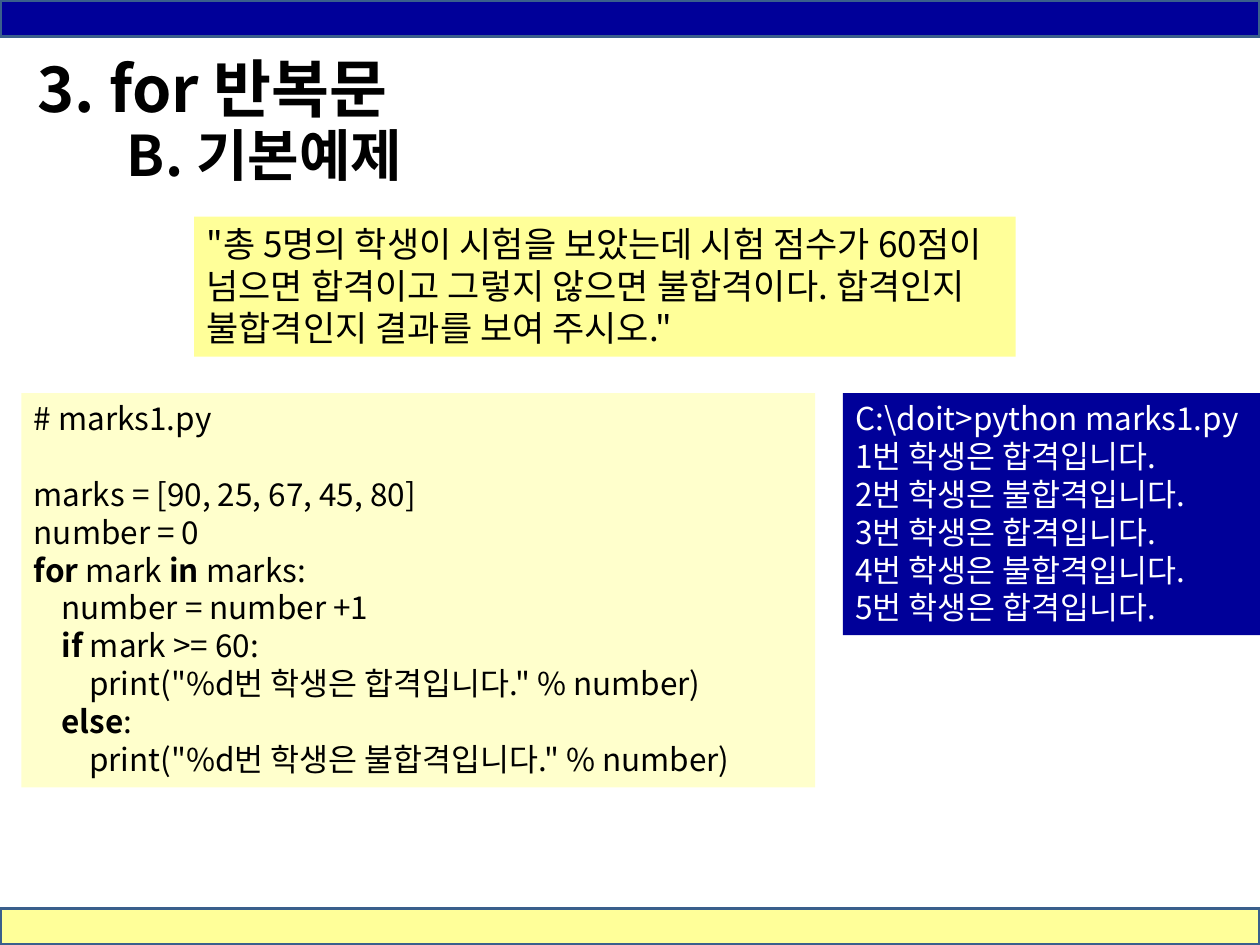
from pptx import Presentation
from pptx.dml.color import RGBColor as RGB
from pptx.enum.shapes import MSO_SHAPE as Shape
from pptx.enum.text import MSO_ANCHOR as Anchor, MSO_AUTO_SIZE as Fit, PP_ALIGN as Align
from pptx.oxml.ns import qn
from pptx.util import Inches, Pt
from lxml import etree

COLORS = {"navy": "000099", "lemon": "FFFF99", "cream": "FFFFCC",
          "edge": "3A5F8C", "black": "000000", "white": "FFFFFF"}
FONT = "Noto Sans CJK KR"
STEP = 0.22  # width of one code indent
LINE = 21.7  # height of one code line, in points

TASK = ('"총 5명의 학생이 시험을 보았는데 시험 점수가 60점이 넘으면 합격이고 '
        '그렇지 않으면 불합격이다. 합격인지 불합격인지 결과를 보여 주시오."')

# Indent level and text; ** switches bold on and off
CODE = [
    (0, "# marks1.py"),
    (0, "marks = [90, 25, 67, 45, 80]"),
    (0, "number = 0"),
    (0, "**for **mark **in** marks:"),
    (1, "number = number +1"),
    (1, "**if **mark >= 60:"),
    (2, 'print("%d번 학생은 합격입니다." % number)'),
    (1, "**else**:"),
    (2, 'print("%d번 학생은 불합격입니다." % number)'),
]
RESULT = ["합격", "불합격", "합격", "불합격", "합격"]
OUTPUT = [(0, r"C:\doit>python marks1.py")] + [
    (0, f"{n}번 학생은 {res}입니다.") for n, res in enumerate(RESULT, 1)]


class Deck:
    def __init__(self):
        self.prs = Presentation()
        self.prs.slide_width, self.prs.slide_height = Inches(10), Inches(7.5)
        self.slide = self.prs.slides.add_slide(self.prs.slide_layouts[5])

    def text(self, shape, lines, size, color="black", bold=False, **frame):
        body = shape.text_frame
        style = {"word_wrap": True, "auto_size": Fit.SHAPE_TO_FIT_TEXT,
                 "vertical_anchor": Anchor.TOP} | frame
        for name, value in style.items():
            setattr(body, name, value)
        for i, (level, line) in enumerate(lines):
            para = body.add_paragraph() if i else body.paragraphs[0]
            para.alignment = Align.LEFT
            if level:
                para._p.get_or_add_pPr().set("marL", str(Inches(level * STEP)))
            for j, part in enumerate(line.split("**")):
                if part:
                    run = para.add_run()
                    run.text = part
                    self.font(run, size, color, bold or j % 2 == 1)

    def font(self, run, size, color, bold):
        for name, value in {"name": FONT, "size": Pt(size), "bold": bold}.items():
            setattr(run.font, name, value)
        run.font.color.rgb = RGB.from_string(COLORS[color])
        east = etree.SubElement(run._r.get_or_add_rPr(), qn("a:ea"))
        east.set("typeface", FONT)

    def rect(self, box, fill, edge=None):
        shape = self.slide.shapes.add_shape(Shape.RECTANGLE, *map(Inches, box))
        shape.shadow.inherit = False
        shape.fill.solid()
        shape.fill.fore_color.rgb = RGB.from_string(COLORS[fill])
        if edge:
            shape.line.color.rgb = RGB.from_string(COLORS[edge])
            shape.line.width = Pt(2)
        else:
            shape.line.fill.background()
        return shape

    def panel(self, box, fill, lines, size, color="black"):
        shape = self.rect(box, fill)
        self.text(shape, lines, size, color)
        return shape

    def title(self, box, text, size):
        shape = self.slide.shapes.title
        for name, value in zip(("left", "top", "width", "height"), box):
            setattr(shape, name, Inches(value))
        self.text(shape, [(0, text)], size, bold=True,
                  auto_size=Fit.NONE, vertical_anchor=Anchor.MIDDLE)

    def label(self, box, text, size):
        shape = self.slide.shapes.add_textbox(*map(Inches, box))
        self.text(shape, [(0, text)], size, bold=True, word_wrap=False)


def main():
    deck = Deck()

    # Bars at top and bottom
    for top, fill in ((0, "navy"), (7.21, "lemon")):
        deck.rect((0, top, 10, 0.29), fill, "edge")

    # Headings
    deck.title((0.2, -0.11, 8.5, 1.61), "3. for 반복문", 36)
    deck.label((0.91, 0.91, 2.56, 0.64), "B. 기본예제", 32)

    # Task, code and its output
    deck.panel((1.54, 1.72, 6.52, 1.11), "lemon", [(0, TASK)], 20)
    code = deck.panel((0.17, 3.12, 6.3, 3.13), "cream", CODE, 18)
    code.text_frame.paragraphs[0].space_after = Pt(LINE)
    deck.panel((6.69, 3.12, 3.31, 1.92), "navy", OUTPUT, 18, "white")

    deck.prs.save("out.pptx")


if __name__ == "__main__":
    main()
